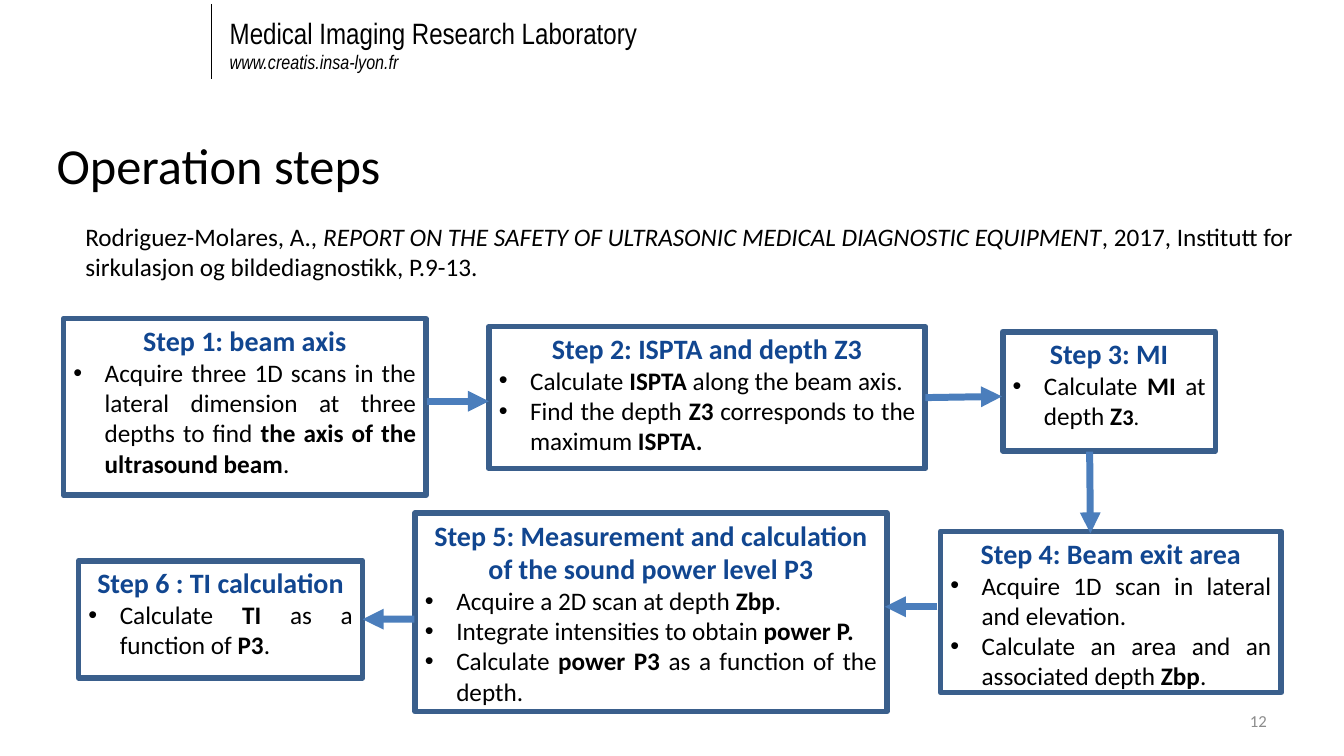
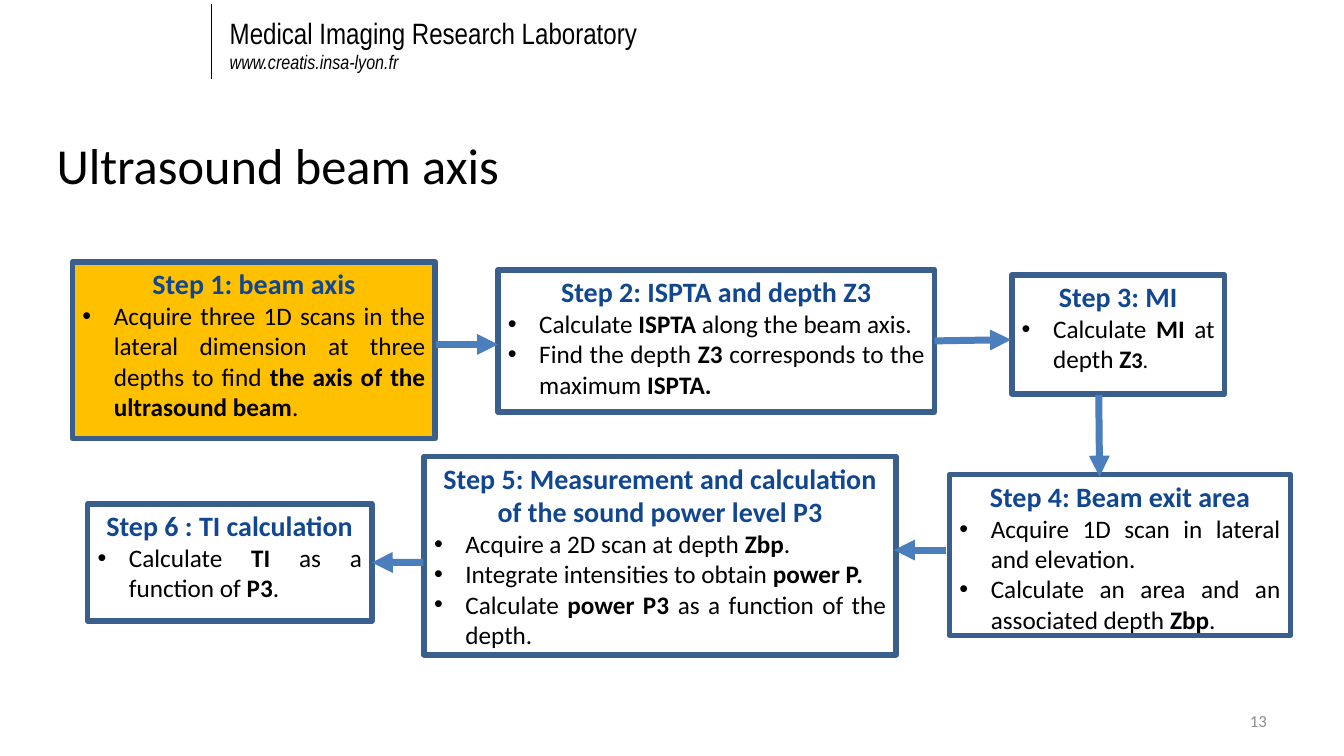
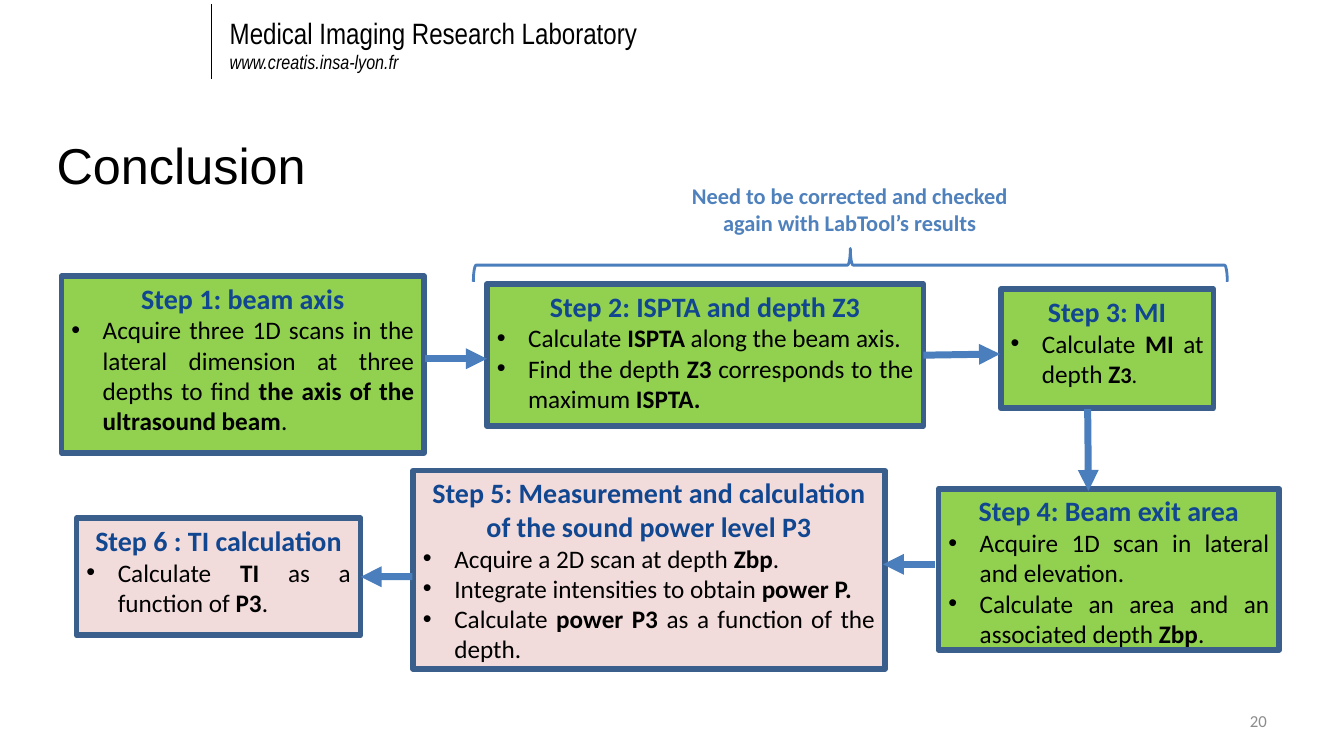
from dataclasses import dataclass

from pptx import Presentation
from pptx.dml.color import RGBColor
from pptx.enum.shapes import MSO_CONNECTOR as Connector, MSO_SHAPE as Preset
from pptx.enum.text import MSO_ANCHOR as Anchor, MSO_AUTO_SIZE as AutoSize, PP_ALIGN as Align
from pptx.oxml.ns import qn
from pptx.util import Cm, Pt
from lxml.etree import SubElement


@dataclass(frozen=True)
class Theme:
    black: str = "000000"
    grey: str = "8C8C8C"
    heading: str = "114690"
    box_line: str = "3A5F8C"
    arrow: str = "4B7EBC"
    remark: str = "4F81BD"
    current: str = "FFC000"
    done: str = "92D050"
    pending: str = "F2DCDB"
    body_font: str = "Calibri"
    header_font: str = "Arial Narrow"
    title_size: int = 36
    lab_size: int = 21
    heading_size: int = 20
    body_size: int = 18
    remark_size: int = 16
    address_size: int = 14
    number_size: int = 12


THEME = Theme()


@dataclass(frozen=True)
class Run:
    text: str
    bold: bool = False
    italic: bool = False
    size: int = THEME.body_size
    color: str = THEME.black
    font: str = THEME.body_font


@dataclass(frozen=True)
class Step:
    box: tuple      # left, top, width, height in cm from the chart's corner
    heading: str
    bullets: tuple  # each bullet is a tuple of runs


@dataclass(frozen=True)
class Arrow:
    start: tuple
    end: tuple
    begin_join: tuple = None  # step index, side
    end_join: tuple = None


def bold(text, size=THEME.body_size):
    return Run(text, bold=True, size=size)


STEPS = (
    Step((0, 0, 9.14, 4.45), "Step 1: beam axis", (
        (Run("Acquire three 1D scans in the lateral dimension at three depths to find "),
         bold("the axis of the ultrasound beam"), Run(".")),)),
    Step((10.72, 0.2, 11, 3.58), "Step 2: ISPTA and depth Z3", (
        (Run("Calculate "), bold("ISPTA "), Run("along the beam axis.")),
        (Run("Find the depth "), bold("Z3 "), Run("corresponds to the maximum "),
         bold("ISPTA.")))),
    Step((23.67, 0.33, 5.36, 3), "Step 3: MI", (
        (Run("Calculate "), bold("MI "), Run("at depth "), bold("Z"), bold("3", 16),
         Run(".", size=16)),)),
    Step((22.1, 5.36, 8.59, 4.06), "Step 4: Beam exit area", (
        (Run("Acquire 1D scan in lateral and elevation."),),
        (Run("Calculate an area and an associated depth "), bold("Zbp"), Run(".")))),
    Step((8.86, 4.9, 11.89, 5),
         "Step 5: Measurement and calculation of the sound power level P3", (
        (Run("Acquire a 2D scan at depth "), bold("Zbp"), Run(".")),
        (Run("Integrate intensities to obtain "), bold("power P.")),
        (Run("Calculate"), bold(" power P3 "), Run("as a function of the depth.")))),
    Step((0.38, 6.1, 7.16, 2.95), "Step 6 : TI calculation", (
        (Run("Calculate "), bold("TI "), Run("as a function of "), bold("P3"), Run(".")),)),
)

ARROWS = (
    Arrow((9.17, 2.08), (10.72, 2.08)),
    Arrow((21.72, 1.99), (23.65, 1.96), begin_join=(1, 3)),
    Arrow((25.86, 3.35), (25.88, 5.41)),
    Arrow((22.02, 7.26), (20.7, 7.26)),
    Arrow((8.84, 7.57), (7.54, 7.57), end_join=(5, 3)),
)


# Text and line helpers
def add_runs(paragraph, runs, align=Align.LEFT):
    paragraph.alignment = align
    for item in runs:
        run = paragraph.add_run()
        run.text = item.text
        font = run.font
        font.name, font.size = item.font, Pt(item.size)
        font.bold, font.italic = item.bold, item.italic
        font.color.rgb = RGBColor.from_string(item.color)


def add_bullet(paragraph):
    properties = paragraph._p.get_or_add_pPr()
    properties.set("marL", str(Cm(0.79)))
    properties.set("indent", str(-Cm(0.79)))
    SubElement(properties, qn("a:buFont")).set("typeface", "Arial")
    SubElement(properties, qn("a:buChar")).set("char", "•")


def add_text(slide, box, paragraphs, align=Align.LEFT, anchor=Anchor.TOP):
    shape = slide.shapes.add_textbox(*map(Cm, box))
    frame = shape.text_frame
    frame.word_wrap = True
    frame.vertical_anchor = anchor
    for index, runs in enumerate(paragraphs):
        paragraph = frame.add_paragraph() if index else frame.paragraphs[0]
        add_runs(paragraph, runs, align)


def add_line(slide, start, end, color, width, arrowhead=False):
    line = slide.shapes.add_connector(Connector.STRAIGHT, *map(Cm, start + end))
    line.line.color.rgb = RGBColor.from_string(color)
    line.line.width = Pt(width)
    properties = line.element.spPr
    if arrowhead:
        SubElement(properties.find(qn("a:ln")), qn("a:tailEnd")).set("type", "triangle")
    SubElement(properties, qn("a:effectLst"))
    return line


# Header, title and slide number, shared by all slides
def add_base_slide(presentation, title, number, title_font=THEME.body_font):
    slide = presentation.slides.add_slide(presentation.slide_layouts[5])

    add_line(slide, (5.33, 0.1), (5.33, 2), THEME.black, 1)
    add_text(slide, (5.54, 0.25, 21.89, 1.75), (
        (Run("Medical Imaging Research Laboratory", size=THEME.lab_size,
             font=THEME.header_font),),
        (Run("www.creatis.insa-lyon.fr", italic=True, size=THEME.address_size,
             font=THEME.header_font),)))

    placeholder = slide.shapes.title
    placeholder.left, placeholder.top = Cm(1.17), Cm(3.25)
    placeholder.width, placeholder.height = Cm(25.76), Cm(1.8)
    frame = placeholder.text_frame
    frame.auto_size = AutoSize.NONE
    frame.vertical_anchor = Anchor.TOP
    add_runs(frame.paragraphs[0], (Run(title, size=THEME.title_size, font=title_font),))

    add_text(slide, (24.28, 17.65, 7.9, 1.02),
             ((Run(str(number), size=THEME.number_size, color=THEME.grey),),),
             Align.RIGHT, Anchor.MIDDLE)
    return slide


# One step: heading and bullets in a framed box
def add_step(slide, left, top, step, fill):
    x, y, width, height = step.box
    shape = slide.shapes.add_shape(Preset.RECTANGLE, Cm(left + x), Cm(top + y),
                                   Cm(width), Cm(height))
    shape.shadow.inherit = False
    shape.line.color.rgb = RGBColor.from_string(THEME.box_line)
    shape.line.width = Pt(4)
    if fill:
        shape.fill.solid()
        shape.fill.fore_color.rgb = RGBColor.from_string(fill)
    else:
        shape.fill.background()
    frame = shape.text_frame
    frame.word_wrap = True
    frame.vertical_anchor = Anchor.TOP
    heading = Run(step.heading, bold=True, size=THEME.heading_size, color=THEME.heading)
    add_runs(frame.paragraphs[0], (heading,), Align.CENTER)
    for runs in step.bullets:
        paragraph = frame.add_paragraph()
        add_bullet(paragraph)
        add_runs(paragraph, runs, Align.JUSTIFY)
    return shape


# The six steps and their arrows, placed from the chart's top left corner
def add_flow_chart(slide, left, top, fills=(None,) * len(STEPS)):
    boxes = [add_step(slide, left, top, step, fill) for step, fill in zip(STEPS, fills)]
    for arrow in ARROWS:
        start, end = ((left + x, top + y) for x, y in (arrow.start, arrow.end))
        line = add_line(slide, start, end, THEME.arrow, 5, arrowhead=True)
        if arrow.begin_join:
            index, side = arrow.begin_join
            line.begin_connect(boxes[index], side)
        if arrow.end_join:
            index, side = arrow.end_join
            line.end_connect(boxes[index], side)


# Brace lying over a region, given by the box it covers once turned
def add_brace(slide, left, top, width, height):
    shift = (width - height) / 2
    brace = slide.shapes.add_shape(Preset.RIGHT_BRACE, Cm(left + shift), Cm(top - shift),
                                   Cm(height), Cm(width))
    brace.rotation = 270
    brace.shadow.inherit = False
    brace.fill.background()
    brace.line.color.rgb = RGBColor.from_string(THEME.arrow)
    brace.line.width = Pt(2)


def add_operation_slide(presentation):
    slide = add_base_slide(presentation, "Operation steps", 12)
    add_text(slide, (1.9, 5.44, 31.24, 1.8), ((
        Run("Rodriguez-Molares, A., "),
        Run("REPORT ON THE SAFETY OF ULTRASONIC MEDICAL DIAGNOSTIC EQUIPMENT", italic=True),
        Run(", 2017, Institutt for sirkulasjon og bildediagnostikk, P.9-13.")),))
    add_flow_chart(slide, 1.6, 8.03)


def add_beam_axis_slide(presentation):
    slide = add_base_slide(presentation, "Ultrasound beam axis", 13)
    add_flow_chart(slide, 1.83, 6.6, (THEME.current,) + (None,) * 5)


def add_conclusion_slide(presentation):
    slide = add_base_slide(presentation, "Conclusion", 20, title_font="Arial")
    add_flow_chart(slide, 1.55, 6.96, (THEME.done,) * 4 + (THEME.pending,) * 2)
    add_brace(slide, 11.93, 6.26, 19, 0.84)
    remark = Run("Need to be corrected and checked again with LabTool’s results",
                 bold=True, size=THEME.remark_size, color=THEME.remark)
    add_text(slide, (16.69, 4.47, 9.45, 1.63), ((remark,),), Align.CENTER)


def main():
    presentation = Presentation()
    presentation.slide_width, presentation.slide_height = Cm(33.87), Cm(19.05)
    add_operation_slide(presentation)
    add_beam_axis_slide(presentation)
    add_conclusion_slide(presentation)
    presentation.save("out.pptx")


if __name__ == "__main__":
    main()
